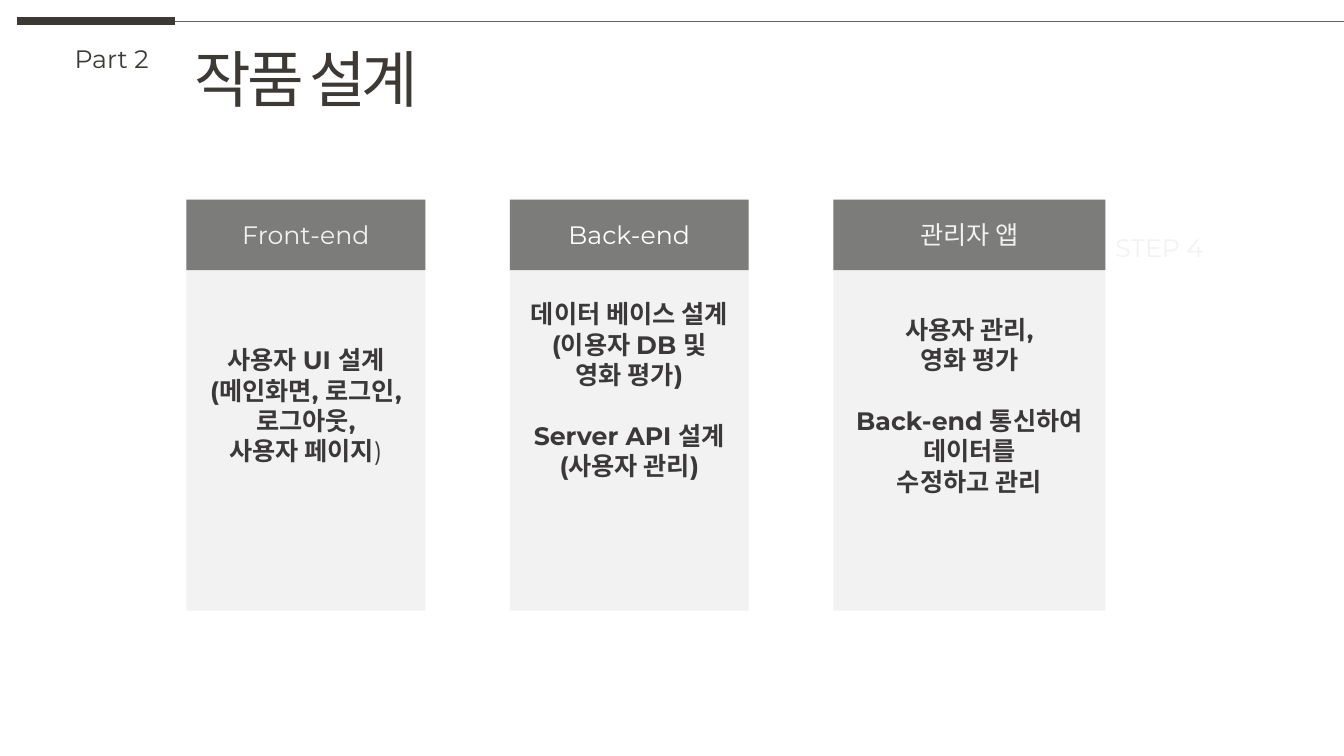
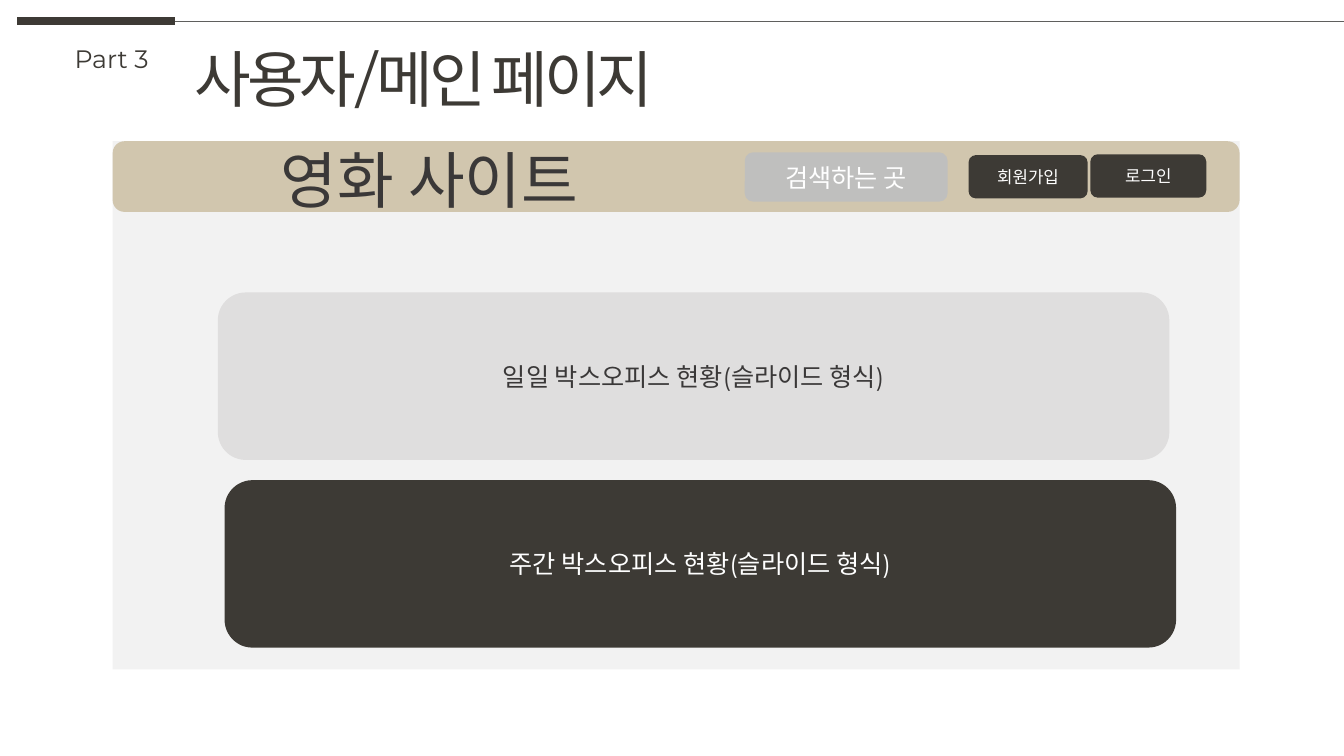
"""Build two slides: the design of a movie project and its main page mock-up."""
from dataclasses import dataclass

from lxml import etree
from pptx import Presentation
from pptx.dml.color import RGBColor
from pptx.enum.shapes import MSO_CONNECTOR as Connector, MSO_SHAPE as Shape
from pptx.enum.text import MSO_ANCHOR as Anchor, MSO_AUTO_SIZE as AutoSize, PP_ALIGN as Align
from pptx.oxml.ns import qn
from pptx.util import Cm, Pt


@dataclass(frozen=True)
class Theme:
    font: str = "Montserrat"
    dark: str = "3D3A35"
    text: str = "3A3838"
    rule: str = "5F5F5D"
    header: str = "7C7C7A"
    panel: str = "F2F2F2"
    sand: str = "D1C6AE"
    daily: str = "DFDEDE"
    search: str = "BFBFBE"
    white: str = "FFFFFF"
    title_size: int = 44
    body_size: int = 18
    button_size: int = 12
    title_spacing: int = -300
    block_gap: int = 22


THEME = Theme()

DESIGN = {
    "part": "Part 2",
    "title": "작품 설계",
    "columns": [
        {"head": "Front-end", "color": THEME.panel, "width": 6.02, "bottom": 0.13, "blocks": [
            [[("사용자 UI 설계", True)],
             [("(메인화면, 로그인,로그아웃,", True)],
             [("사용자 페이지", True), (")", False)]],
        ]},
        {"head": "Back-end", "color": THEME.white, "width": 6.02, "bottom": 0.9, "blocks": [
            [[("데이터 베이스 설계", True)], [("(이용자 DB 및", True)], [("영화 평가)", True)]],
            [[("Server API 설계", True)], [("(사용자 관리)", True)]],
        ]},
        {"head": "관리자 앱", "color": THEME.panel, "width": 6.86, "bottom": 0.13, "blocks": [
            [[("사용자 관리,", True)], [("영화 평가", True)]],
            [[("Back-end 통신하여 데이터를", True)], [("수정하고 관리", True)]],
        ]},
    ],
    "step": "STEP 4",
}

MAIN_PAGE = {
    "part": "Part 3",
    "title": "사용자/메인 페이지",
    "site": "영화 사이트",
    "controls": [
        ("검색하는 곳", (18.77, 3.84, 5.11, 1.24), THEME.search, THEME.body_size),
        ("회원가입", (24.41, 3.91, 3, 1.09), THEME.dark, THEME.button_size),
        ("로그인", (27.48, 3.89, 2.92, 1.09), THEME.dark, THEME.button_size),
    ],
    "banners": [
        ("일일 박스오피스 현황(슬라이드 형식)", 5.49, THEME.daily, THEME.text),
        ("주간 박스오피스 현황(슬라이드 형식)", 5.66, THEME.dark, THEME.white),
    ],
}


def add_span(para, text, size, color, bold=False):
    span = para.add_run()
    span.text = text
    span.font.name = THEME.font
    span.font.size = Pt(size)
    span.font.bold = bold
    span.font.color.rgb = RGBColor.from_string(color)
    return span


def add_label(page, text, place, size, color):
    box = page.shapes.add_textbox(*map(Cm, place))
    box.text_frame.word_wrap = False
    add_span(box.text_frame.paragraphs[0], text, size, color)


def add_panel(page, kind, place, fill, text="", size=THEME.body_size, color=THEME.white):
    panel = page.shapes.add_shape(kind, *map(Cm, place))
    panel.shadow.inherit = False
    panel.fill.solid()
    panel.fill.fore_color.rgb = RGBColor.from_string(fill)
    panel.line.fill.background()
    frame = panel.text_frame
    frame.word_wrap = True
    frame.vertical_anchor = Anchor.MIDDLE
    if text:
        frame.paragraphs[0].alignment = Align.CENTER
        add_span(frame.paragraphs[0], text, size, color)
    return panel


def add_blocks(frame, blocks):
    for block_index, block in enumerate(blocks):
        for line_index, line in enumerate(block):
            first = block_index == line_index == 0
            para = frame.paragraphs[0] if first else frame.add_paragraph()
            para.alignment = Align.CENTER
            if block_index and not line_index:
                para.space_before = Pt(THEME.block_gap)
            for text, bold in line:
                add_span(para, text, THEME.body_size, THEME.text, bold)


def add_rule(page, start, end, color, width):
    y = Cm(0.53)
    rule = page.shapes.add_connector(Connector.STRAIGHT, Cm(start), y, Cm(end), y)
    rule.line.color.rgb = RGBColor.from_string(color)
    rule.line.width = Pt(width)
    etree.SubElement(rule._element.spPr, qn("a:effectLst"))


def add_page(deck, content):
    page = deck.slides.add_slide(deck.slide_layouts.get_by_name("Title Only"))
    add_rule(page, 0.43, 4.42, THEME.dark, 6)
    add_rule(page, 4.42, 33.87, THEME.rule, 0.5)
    title = page.shapes.title
    title.left, title.top, title.width, title.height = map(Cm, (4.65, 0.91, 28, 2.13))
    frame = title.text_frame
    frame.auto_size = AutoSize.NONE
    frame.word_wrap = True
    frame.vertical_anchor = Anchor.TOP
    para = frame.paragraphs[0]
    para.alignment = Align.LEFT
    span = add_span(para, content["title"], THEME.title_size, THEME.dark)
    span._r.get_or_add_rPr().set("spc", str(THEME.title_spacing))
    add_label(page, content["part"], (1.63, 0.97, 2.46, 1.02), THEME.body_size, THEME.dark)
    return page


def build_design(deck):
    page = add_page(deck, DESIGN)
    left, top, pitch, height, head_height = 4.7, 5.03, 8.15, 10.36, 1.78
    for index, column in enumerate(DESIGN["columns"]):
        x, width = left + index * pitch, column["width"]
        body = add_panel(page, Shape.RECTANGLE, (x, top, width, height), THEME.panel)
        body.text_frame.margin_bottom = Cm(column["bottom"])
        add_blocks(body.text_frame, column["blocks"])
        add_panel(page, Shape.RECTANGLE, (x, top, width, head_height), THEME.header,
                  column["head"], color=column["color"])
    add_label(page, DESIGN["step"], (27.86, 5.72, 2.74, 1.02), THEME.body_size, THEME.panel)


def build_main_page(deck):
    page = add_page(deck, MAIN_PAGE)
    left, top, width = 2.84, 3.56, 28.4
    add_panel(page, Shape.RECTANGLE, (left, top, width, 13.31), THEME.panel)
    add_panel(page, Shape.ROUNDED_RECTANGLE, (left, top, width, 1.78), THEME.sand)
    add_label(page, MAIN_PAGE["site"], (6.83, 3.45, 8.81, 2.13), THEME.title_size, THEME.text)
    for index, (text, x, fill, color) in enumerate(MAIN_PAGE["banners"]):
        place = (x, 7.37 + index * 4.73, 23.98, 4.22)
        add_panel(page, Shape.ROUNDED_RECTANGLE, place, fill, text, color=color)
    for text, place, fill, size in MAIN_PAGE["controls"]:
        add_panel(page, Shape.ROUNDED_RECTANGLE, place, fill, text, size)


def main():
    deck = Presentation()
    deck.slide_width, deck.slide_height = Cm(33.87), Cm(19.05)
    build_design(deck)
    build_main_page(deck)
    deck.save("out.pptx")


if __name__ == "__main__":
    main()
